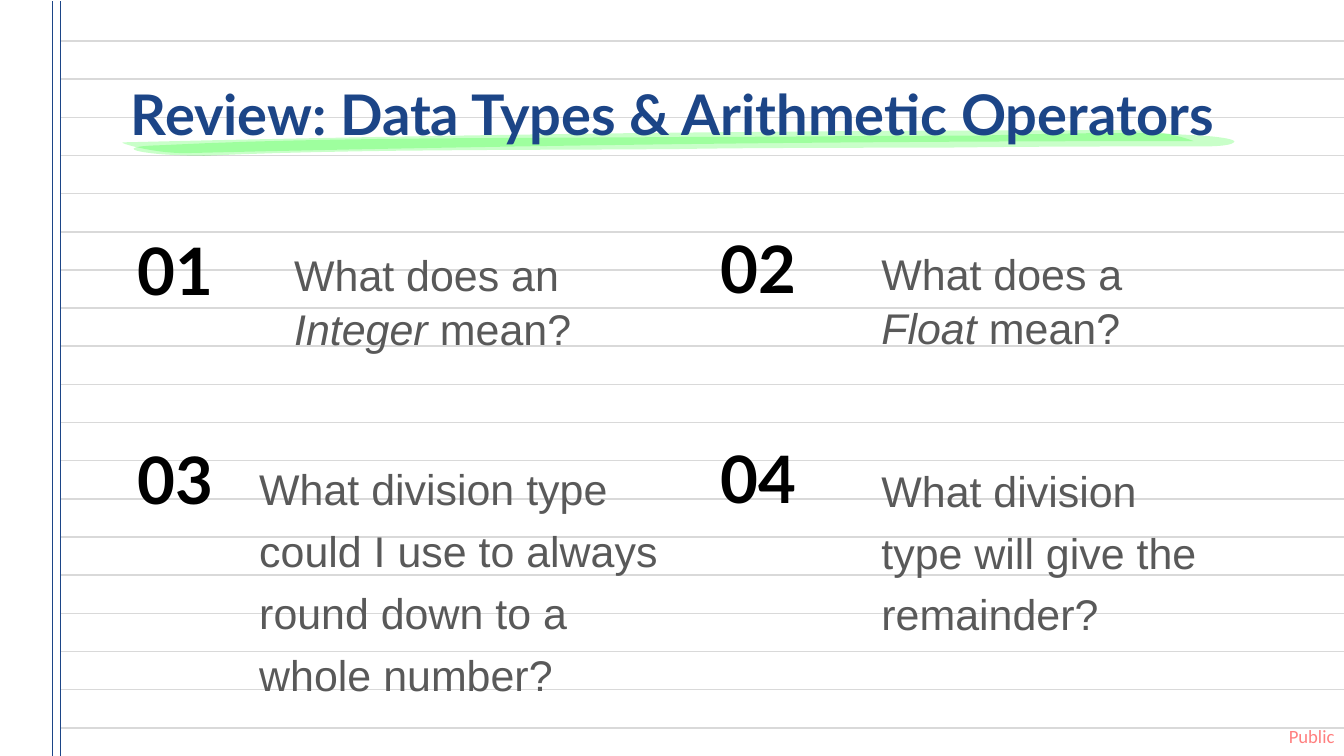
import pptx
import pptx.dml.color
import pptx.enum.shapes
import pptx.enum.text
import pptx.oxml.ns
import pptx.util
from lxml import etree

Pt = pptx.util.Pt
ALIGN = pptx.enum.text.PP_ALIGN
WIDTH, HEIGHT = 720, 405
MARGIN_X = 32.4
GREY, NAVY, GREEN = "595959", "1C4587", "00FF00"

# Brush strokes: a start point, then cubic segments (two controls and an end).
THIN_STROKE = (607, 69.8), [
    ((424.8, 69.8), (243.4, 72), (66.2, 76.3)),
    ((61.9, 76.3), (82.1, 82.1), (98.6, 82.1)),
    ((275.8, 77.8), (456.5, 75.6), (639.4, 75.6)),
    ((639.4, 75.6), (625, 69.8), (607, 69.8)),
]
WIDE_STROKE = (602.6, 71.3), [
    ((576.7, 71.3), (547.2, 72), (524.9, 72.7)),
    ((473.8, 72.7), (421.2, 73.4), (368.6, 73.4)),
    ((275.8, 74.2), (175, 73.4), (87.1, 77.8)),
    ((56.9, 78.5), (74.2, 83.5), (109.4, 83.5)),
    ((188.6, 79.9), (277.2, 80.6), (362.2, 79.9)),
    ((409, 79.2), (455, 79.2), (502.6, 79.2)),
    ((550, 78.5), (600, 78.5), (643.7, 78.5)),
    ((653.8, 78.5), (659.5, 77.8), (661, 76.3)),
    ((663, 74.9), (654.5, 73.4), (643.7, 72.7)),
    ((632.2, 72), (617.8, 71.3), (602.6, 71.3)),
]


def rgb(value):
    return pptx.dml.color.RGBColor.from_string(value)


def set_alpha(fill, percent):
    """Make a solid fill partly transparent."""
    color = fill._xPr.find(".//" + pptx.oxml.ns.qn("a:srgbClr"))
    alpha = etree.SubElement(color, pptx.oxml.ns.qn("a:alpha"))
    alpha.set("val", str(percent * 1000))


def add_line(s, x1, y1, x2, y2, color, width):
    line = s.shapes.add_connector(
        pptx.enum.shapes.MSO_CONNECTOR.STRAIGHT, Pt(x1), Pt(y1), Pt(x2), Pt(y2))
    line.line.color.rgb = rgb(color)
    line.line.width = Pt(width)
    etree.SubElement(line._element.spPr, pptx.oxml.ns.qn("a:effectLst"))


def add_paper(s):
    for i in range(19):
        y = 22 + 20.44 * i
        add_line(s, WIDTH, y, MARGIN_X, y, "D9D9D9", 0.86)
    for x in (28, MARGIN_X):
        add_line(s, x, 0.7, x, HEIGHT, NAVY, 0.62)


def curve_points(start, segments, steps=12):
    """Sample points along a chain of cubic curves."""
    points = []
    for c1, c2, end in segments:
        for i in range(1, steps + 1):
            t = i / steps
            u = 1 - t
            points.append(tuple(
                Pt(u**3 * a + 3 * u * u * t * b + 3 * u * t * t * c + t**3 * d)
                for a, b, c, d in zip(start, c1, c2, end)))
        start = end
    return points


def add_stroke(s, start, segments):
    builder = s.shapes.build_freeform(Pt(start[0]), Pt(start[1]))
    builder.add_line_segments(curve_points(start, segments), close=True)
    sp = builder.convert_to_shape()
    sp.shadow.inherit = False
    sp.fill.solid()
    sp.fill.fore_color.rgb = rgb(GREEN)
    set_alpha(sp.fill, 21)
    sp.line.fill.background()


def add_text(s, box, runs, size, font, color, bold=False, align=ALIGN.LEFT,
             inset=0, spacing=None, alpha=None):
    """Add one paragraph; runs are (text, italic) pairs."""
    tf = s.shapes.add_textbox(*map(Pt, box)).text_frame
    tf.word_wrap = True
    tf.margin_left = tf.margin_right = Pt(inset)
    tf.margin_top = tf.margin_bottom = Pt(inset)
    p = tf.paragraphs[0]
    p.alignment = align
    if spacing:
        p.line_spacing = spacing
    for text, italic in runs:
        r = p.add_run()
        r.text = text
        r.font.size = Pt(size)
        r.font.name = font
        r.font.bold = bold
        r.font.italic = italic
        r.font.color.rgb = rgb(color)
        if alpha:
            set_alpha(r.font.fill, alpha)


def add_number(s, x, y, text, align):
    add_text(s, (x, y, 64, 45.4), [(text, False)], 35, "Lato", "000000",
             bold=True, align=align)


def add_question(s, x, y, width, runs, spacing):
    add_text(s, (x, y, width, 28.8), runs, 23, "Arial", GREY,
             inset=7.2, spacing=spacing)


def main():
    prs = pptx.Presentation()
    prs.slide_width, prs.slide_height = Pt(WIDTH), Pt(HEIGHT)
    s = prs.slides.add_slide(prs.slide_layouts[6])

    add_text(s, (690.5, 388.1, 28, 12.2), [("Public", False)], 10, "Calibri",
             "FF0000", alpha=50)
    add_paper(s)
    for stroke in (THIN_STROKE, WIDE_STROKE):
        add_stroke(s, *stroke)
    add_text(s, (57, 42.5, 607, 28), [("Review: Data Types & Arithmetic Operators", False)],
             30, "Lato", NAVY, bold=True, align=ALIGN.CENTER)

    add_number(s, 62, 123.1, "01", ALIGN.CENTER)
    add_number(s, 386, 122.4, "02", ALIGN.LEFT)
    add_number(s, 62, 235.4, "03", ALIGN.CENTER)
    add_number(s, 386, 234.7, "04", ALIGN.LEFT)

    add_question(s, 150.5, 124.6, 193,
                 [("What does an ", False), ("Integer", True), (" mean?", False)], 1.05)
    add_question(s, 465.1, 123.9, 193,
                 [("What does a ", False), ("Float", True), (" mean?", False)], 1.05)
    add_question(s, 131.8, 235.4, 232.6,
                 [("What division type could I use to always round down to a whole number?",
                   False)], 1.2)
    add_question(s, 465.1, 236.1, 193,
                 [("What division type will give the remainder?", False)], 1.2)
    prs.save("out.pptx")


if __name__ == "__main__":
    main()
